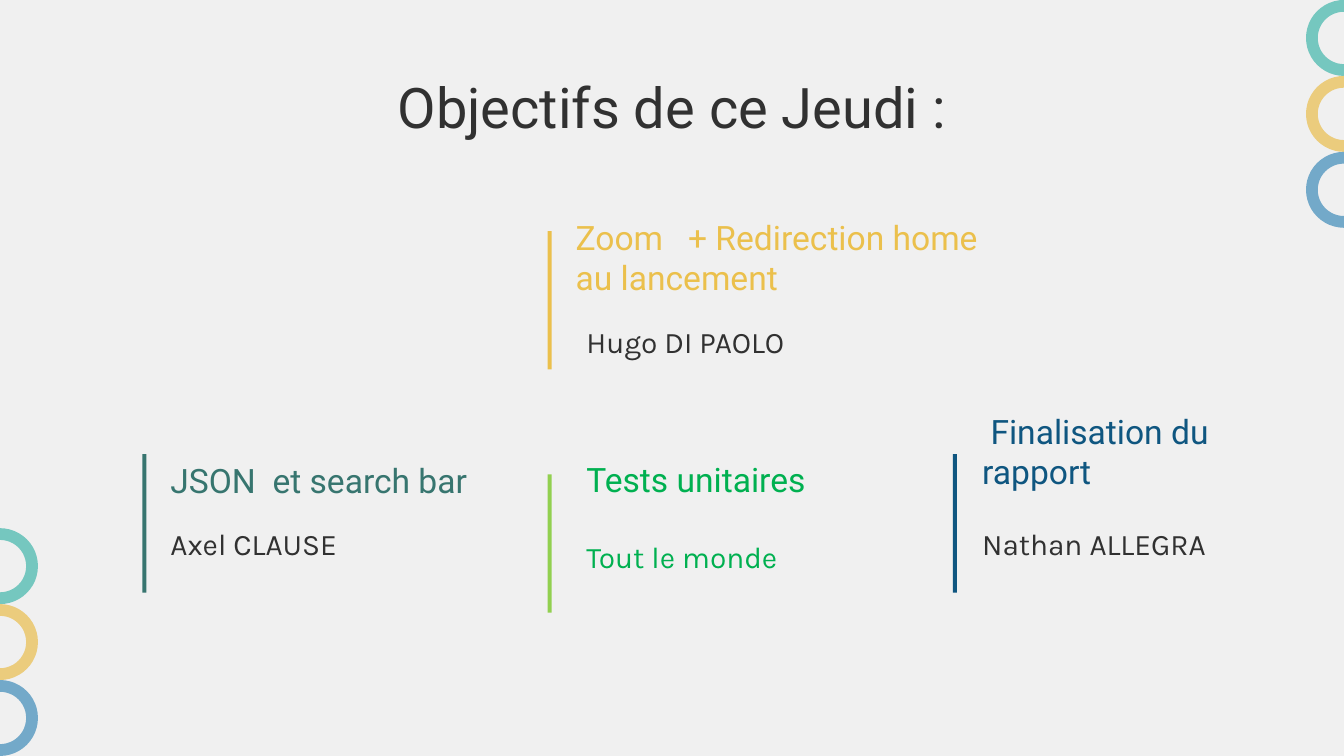
"""Build the slide of Thursday's goals and who carries each one."""
from dataclasses import dataclass

import pptx
import pptx.dml.color
import pptx.enum.shapes
import pptx.enum.text
import pptx.util

RGBColor = pptx.dml.color.RGBColor
MSO_SHAPE = pptx.enum.shapes.MSO_SHAPE
PP_ALIGN = pptx.enum.text.PP_ALIGN

PAPER = RGBColor(0xF0, 0xF0, 0xF0)
INK = RGBColor(0x31, 0x31, 0x31)
TEAL = RGBColor(0x37, 0x75, 0x6F)
GOLD = RGBColor(0xEB, 0xC0, 0x4C)
NAVY = RGBColor(0x0F, 0x56, 0x80)
GREEN = RGBColor(0x00, 0xB0, 0x50)
LIME = RGBColor(0x92, 0xD0, 0x50)
RING_COLORS = (
    RGBColor(0x75, 0xC7, 0xBF),
    RGBColor(0xEB, 0xCC, 0x7D),
    RGBColor(0x73, 0xA9, 0xC9),
)

WIDTH, HEIGHT = 10, 5.625
GRID_LEFT, COLUMN = 1.06, 3.015
BAR_W, BAR_H = 0.03, 1.03
HEAD_H, NAME_H = 0.37, 0.63
RING, RING_BAND = 0.565, 0.155


@dataclass(frozen=True)
class Goal:
    """A goal in a grid column; insets are measured from the column's left."""

    column: int
    bar_top: float
    bar_color: RGBColor
    head: str
    head_color: RGBColor
    head_inset: float
    head_top: float
    head_w: float
    name: str
    name_color: RGBColor
    name_inset: float
    name_top: float
    name_w: float


GOALS = (
    Goal(0, 3.38, TEAL, "JSON  et search bar", TEAL, 0.11, 3.39, 2.44,
         "Axel CLAUSE", INK, 0.11, 3.73, 1.73),
    Goal(1, 1.72, GOLD, "Zoom   + Redirection home au lancement", GOLD, 0.11, 1.73, 3.26,
         "Hugo DI PAOLO", INK, 0.19, 2.23, 1.73),
    Goal(2, 3.38, NAVY, " Finalisation du rapport", NAVY, 0.12, 3.17, 2.21,
         "Nathan ALLEGRA", INK, 0.12, 3.73, 2.21),
    Goal(1, 3.53, LIME, "Tests unitaires", GREEN, 0.19, 3.38, 3.15,
         "Tout le monde", GREEN, 0.19, 3.83, 1.73),
)


def box(*lengths: float) -> list:
    """Turn inches into slide lengths."""
    return [pptx.util.Inches(v) for v in lengths]


def write(sp, text: str, font: str, size: float, color: RGBColor, align=PP_ALIGN.LEFT) -> None:
    """Put one formatted paragraph, centred vertically, into a shape."""
    tf = sp.text_frame
    frame = {"word_wrap": True, "auto_size": pptx.enum.text.MSO_AUTO_SIZE.NONE,
             "vertical_anchor": pptx.enum.text.MSO_ANCHOR.MIDDLE}
    frame |= {f"margin_{side}": pptx.util.Inches(0.1)
              for side in ("left", "top", "right", "bottom")}
    for key, value in frame.items():
        setattr(tf, key, value)
    p = tf.paragraphs[0]
    p.alignment = align
    r = p.add_run()
    r.text = text
    for key, value in {"name": font, "size": pptx.util.Pt(size)}.items():
        setattr(r.font, key, value)
    r.font.color.rgb = color


def add_filled(s, kind, color: RGBColor, *lengths: float):
    """Add a flat preset shape without outline."""
    sp = s.shapes.add_shape(kind, *box(*lengths))
    sp.shadow.inherit = False
    sp.fill.solid()
    sp.fill.fore_color.rgb = color
    sp.line.fill.background()
    return sp


def add_rings(s, center_x: float, top: float) -> None:
    """Stack the coloured rings downwards on one vertical axis."""
    for i, color in enumerate(RING_COLORS):
        sp = add_filled(s, MSO_SHAPE.DONUT, color,
                        center_x - RING / 2, top + i * RING, RING, RING)
        sp.adjustments[0] = RING_BAND


def add_goal(s, goal: Goal) -> None:
    """Draw a goal's bar, heading and name."""
    x = GRID_LEFT + goal.column * COLUMN
    add_filled(s, MSO_SHAPE.RECTANGLE, goal.bar_color, x, goal.bar_top, BAR_W, BAR_H)
    name = s.shapes.add_textbox(*box(x + goal.name_inset, goal.name_top, goal.name_w, NAME_H))
    write(name, goal.name, "Karla", 16, goal.name_color)
    head = s.shapes.add_textbox(*box(x + goal.head_inset, goal.head_top, goal.head_w, HEAD_H))
    write(head, goal.head, "Roboto", 18, goal.head_color)


def main() -> None:
    """Build and save the slide."""
    prs = pptx.Presentation()
    prs.slide_width, prs.slide_height = box(WIDTH, HEIGHT)
    s = prs.slides.add_slide(prs.slide_layouts[5])
    s.background.fill.solid()
    s.background.fill.fore_color.rgb = PAPER

    add_rings(s, WIDTH, 0)
    add_rings(s, 0, HEIGHT - len(RING_COLORS) * RING)

    title = s.shapes.title
    title.left, title.top, title.width, title.height = box(0.79, 0.59, 8.42, 0.4)
    write(title, "Objectifs de ce Jeudi :", "Roboto", 30, INK, PP_ALIGN.CENTER)

    for goal in GOALS:
        add_goal(s, goal)
    prs.save("out.pptx")


if __name__ == "__main__":
    main()
